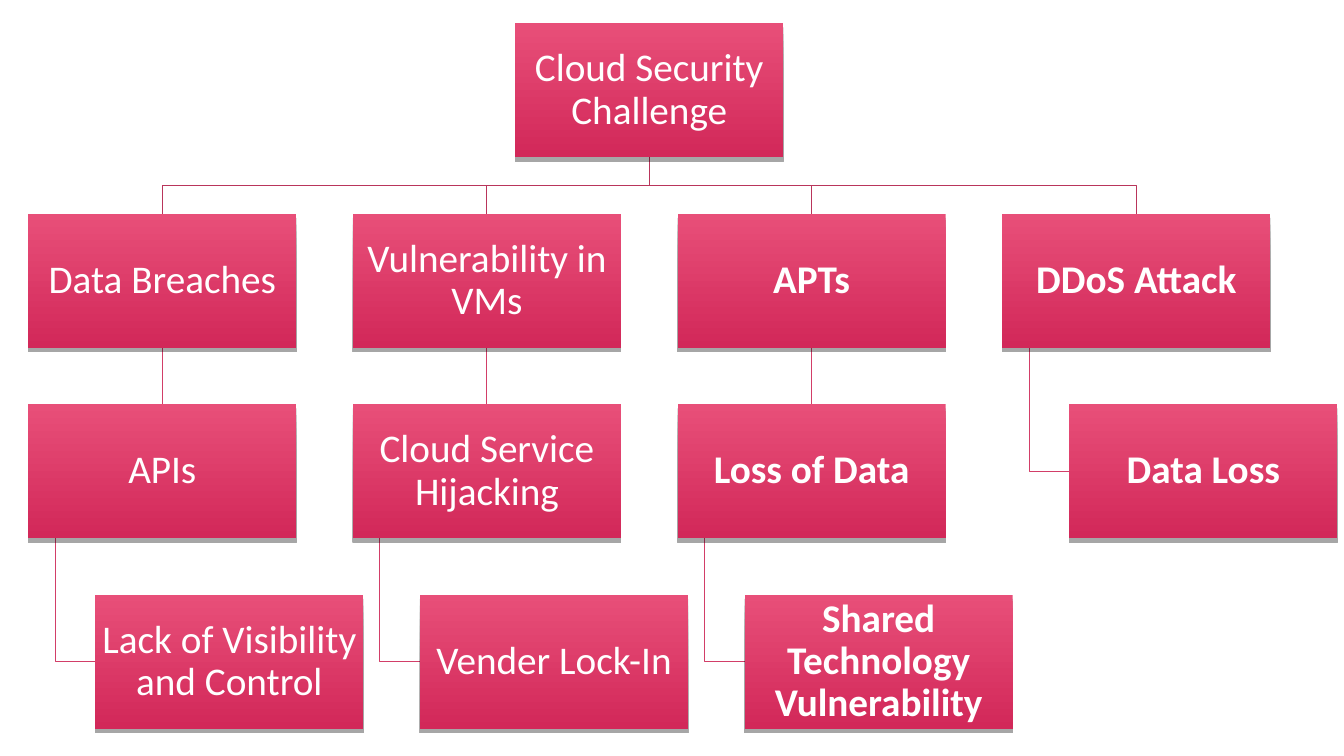
from dataclasses import dataclass
from itertools import pairwise

from lxml.etree import SubElement
from pptx import Presentation
from pptx.dml.color import RGBColor
from pptx.enum.shapes import MSO_CONNECTOR, MSO_SHAPE
from pptx.enum.text import MSO_ANCHOR, PP_ALIGN
from pptx.oxml.ns import qn
from pptx.util import Inches, Pt


@dataclass(frozen=True)
class Theme:
    font: str = "Calibri"
    text_size: float = 28
    line_width: float = 0.75
    text: str = "FFFFFF"
    box_top: str = "E84F79"
    box_bottom: str = "D22859"
    shadow: str = "000000"
    root_line: str = "B9355B"
    branch_line: str = "D23E68"


@dataclass(frozen=True)
class Grid:
    left: float = 0.28
    top: float = 0.23
    column_pitch: float = 3.22
    row_pitch: float = 1.89
    box_width: float = 2.66
    box_height: float = 1.33


THEME = Theme()
GRID = Grid()
Point = tuple[float, float]


@dataclass(frozen=True)
class Node:
    text: str
    column: float
    row: int
    bold: bool = False
    hanging: bool = False

    @property
    def left(self) -> float:
        indent = GRID.box_width / 4 if self.hanging else 0
        return GRID.left + self.column * GRID.column_pitch + indent

    @property
    def top(self) -> float:
        return GRID.top + self.row * GRID.row_pitch

    @property
    def center(self) -> float:
        return self.left + GRID.box_width / 2

    @property
    def middle(self) -> float:
        return self.top + GRID.box_height / 2

    @property
    def bottom(self) -> float:
        return self.top + GRID.box_height


BRANCH_TEXTS = (
    ("Data Breaches", "APIs", "Lack of Visibility and Control"),
    ("Vulnerability in VMs", "Cloud Service Hijacking", "Vender Lock-In"),
    ("APTs", "Loss of Data", "Shared Technology Vulnerability"),
    ("DDoS Attack", "Data Loss"),
)
ROOT = Node("Cloud Security Challenge", (len(BRANCH_TEXTS) - 1) / 2, 0)
BRANCHES = [
    [
        Node(text, column, row, bold=column >= 2, hanging=row == len(texts))
        for row, text in enumerate(texts, start=1)
    ]
    for column, texts in enumerate(BRANCH_TEXTS)
]


def link_points(parent: Node, child: Node) -> list[Point]:
    """Route from the parent's lower edge to the child's side or top."""
    if child.hanging:
        stem = parent.left + GRID.box_width / 10
        return [(stem, parent.bottom), (stem, child.middle), (child.left, child.middle)]
    start, end = (parent.center, parent.bottom), (child.center, child.top)
    if parent.column == child.column:
        return [start, end]
    bend = (parent.bottom + child.top) / 2
    return [start, (parent.center, bend), (child.center, bend), end]


def draw_link(page, parent: Node, child: Node) -> None:
    points = [(Inches(x), Inches(y)) for x, y in link_points(parent, child)]
    if len(points) == 2:
        link = page.shapes.add_connector(MSO_CONNECTOR.STRAIGHT, *points[0], *points[1])
        SubElement(link._element.spPr, qn("a:effectLst"))
    else:
        builder = page.shapes.build_freeform(*points[0])
        builder.add_line_segments(points[1:], close=False)
        link = builder.convert_to_shape()
        link.fill.background()
        link.shadow.inherit = False
    color = THEME.root_line if parent is ROOT else THEME.branch_line
    link.line.color.rgb = RGBColor.from_string(color)
    link.line.width = Pt(THEME.line_width)


def add_drop_shadow(box) -> None:
    box.shadow.inherit = False
    effects = box._element.spPr.find(qn("a:effectLst"))
    shadow = SubElement(effects, qn("a:outerShdw"), blurRad="0", dist=str(Pt(3)),
                        dir="5400000", rotWithShape="0")
    color = SubElement(shadow, qn("a:srgbClr"), val=THEME.shadow)
    SubElement(color, qn("a:alpha"), val="35000")


def draw_node(page, node: Node) -> None:
    box = page.shapes.add_shape(
        MSO_SHAPE.RECTANGLE, Inches(node.left), Inches(node.top),
        Inches(GRID.box_width), Inches(GRID.box_height))
    box.fill.gradient()
    box.fill.gradient_angle = 270
    for stop, color in zip(box.fill.gradient_stops, (THEME.box_top, THEME.box_bottom)):
        stop.color.rgb = RGBColor.from_string(color)
    box.line.fill.background()
    add_drop_shadow(box)

    frame = box.text_frame
    frame.word_wrap = True
    frame.vertical_anchor = MSO_ANCHOR.MIDDLE
    frame.margin_left = frame.margin_right = Inches(0.02)
    frame.margin_top = frame.margin_bottom = Inches(0.02)
    para = frame.paragraphs[0]
    para.text = node.text
    para.alignment = PP_ALIGN.CENTER
    para.line_spacing = 0.9
    para.space_after = Pt(12)
    para.font.name = THEME.font
    para.font.size = Pt(THEME.text_size)
    para.font.bold = node.bold
    para.font.color.rgb = RGBColor.from_string(THEME.text)


def main() -> None:
    deck = Presentation()
    deck.slide_width, deck.slide_height = Inches(13.33), Inches(7.5)
    page = deck.slides.add_slide(deck.slide_layouts[6])
    for branch in BRANCHES:
        for parent, child in pairwise([ROOT, *branch]):
            draw_link(page, parent, child)
    draw_node(page, ROOT)
    for branch in BRANCHES:
        for node in branch:
            draw_node(page, node)
    deck.save("out.pptx")


if __name__ == "__main__":
    main()
